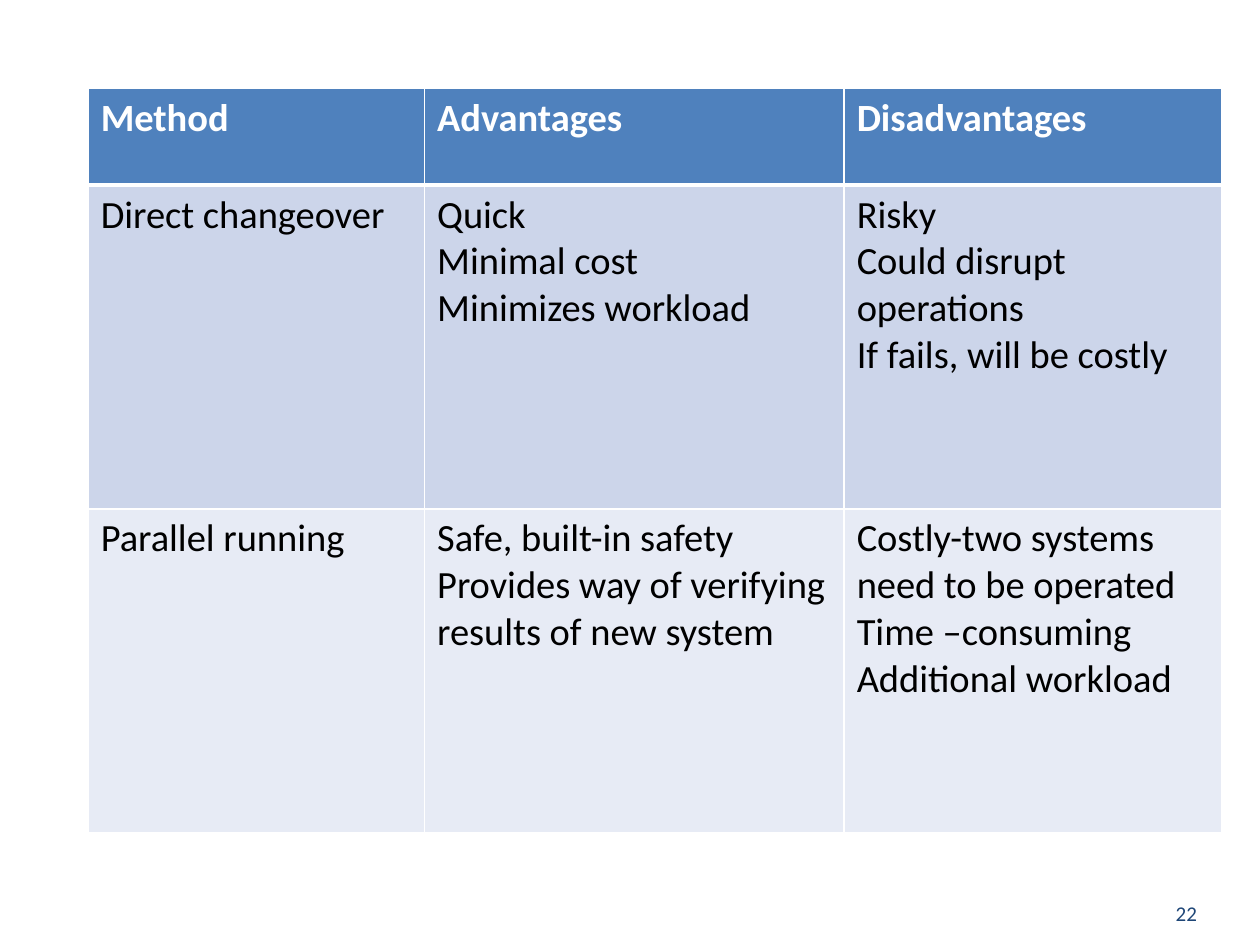
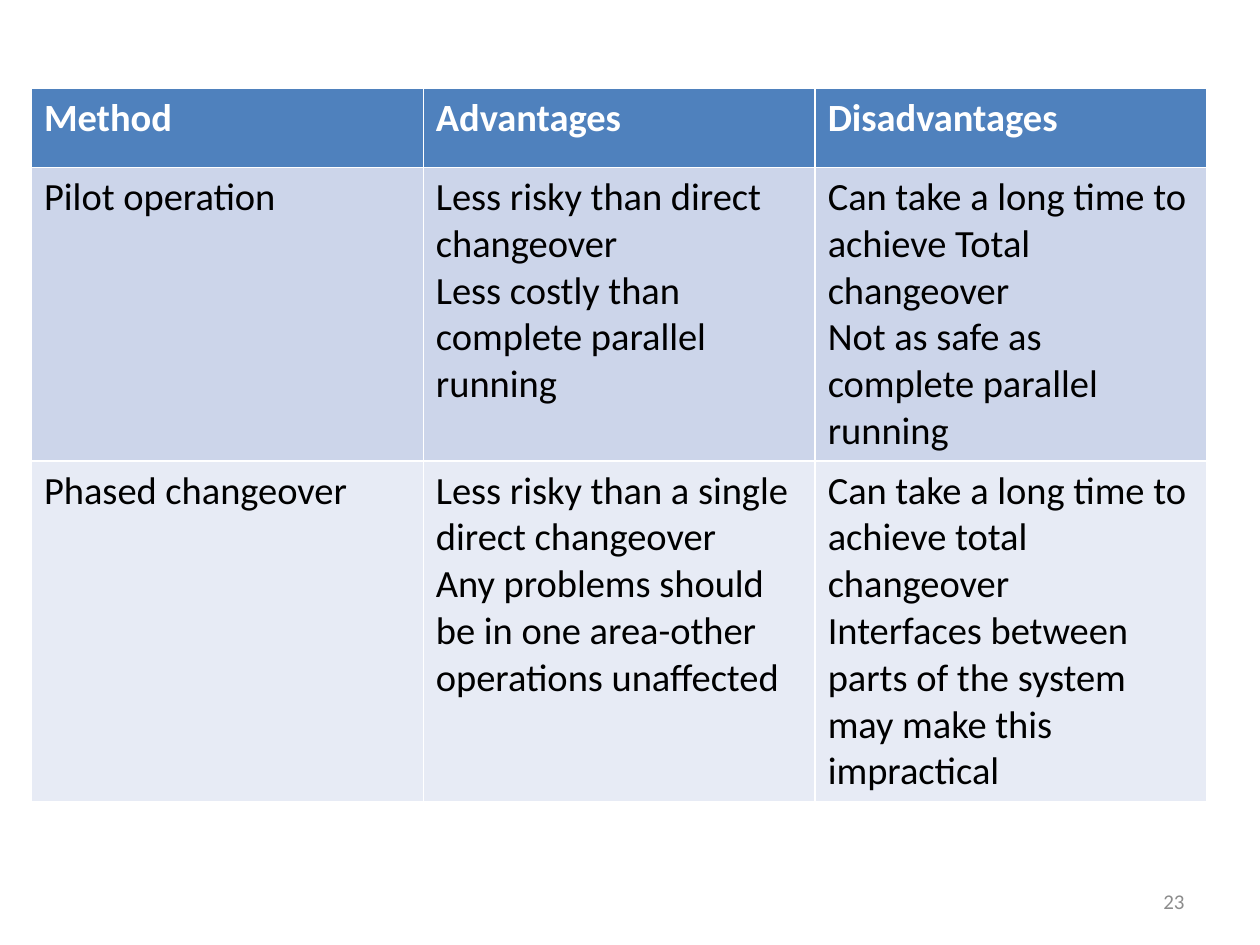
from dataclasses import dataclass

import pptx
import pptx.dml.color
import pptx.enum.text
import pptx.oxml
import pptx.oxml.ns
import pptx.util
from pptx.util import Inches

Anchor = pptx.enum.text.MSO_ANCHOR


@dataclass(frozen=True)
class Theme:
    font: str = "Calibri"
    table_size: int = 22
    number_size: int = 12
    header_fill: str = "4F81BD"
    band_fills: tuple[str, str] = ("CCD5EA", "E7EBF5")
    header_text: str = "FFFFFF"
    body_text: str = "000000"
    border: str = "FFFFFF"
    border_width: float = 1


THEME = Theme()
HEADINGS = ("Method", "Advantages", "Disadvantages")


@dataclass(frozen=True)
class Method:
    name: str
    advantages: tuple[str, ...]
    disadvantages: tuple[str, ...]


@dataclass(frozen=True)
class PageNumber:
    text: str
    left: float
    width: float
    color: str
    anchor: Anchor
    inset: tuple[float, float]


@dataclass(frozen=True)
class ComparisonPage:
    methods: tuple[Method, ...]
    left: float
    column_widths: tuple[float, ...]
    row_heights: tuple[float, ...]
    header_rule: float
    number: PageNumber


PAGES = (
    ComparisonPage(
        methods=(
            Method(
                "Direct changeover",
                ("Quick", "Minimal cost", "Minimizes workload"),
                ("Risky", "Could disrupt operations", "If fails, will be costly"),
            ),
            Method(
                "Parallel running",
                ("Safe, built-in safety", "Provides way of verifying results of new system"),
                ("Costly-two systems need to be operated", "Time –consuming", "Additional workload"),
            ),
        ),
        left=0.7,
        column_widths=(2.67, 3.33, 3),
        row_heights=(0.77, 2.57, 2.57),
        header_rule=3,
        number=PageNumber("22", 8.67, 0.83, "1E4677", Anchor.BOTTOM, (0, 0)),
    ),
    ComparisonPage(
        methods=(
            Method(
                "Pilot operation",
                ("Less risky than direct changeover", "Less costly than complete parallel running"),
                ("Can take a long time to achieve Total changeover", "Not as safe as complete parallel running"),
            ),
            Method(
                "Phased changeover",
                ("Less risky than a single direct changeover",
                 "Any problems should be in one area-other operations unaffected"),
                ("Can take a long time to achieve total changeover",
                 "Interfaces between parts of the system may make this impractical"),
            ),
        ),
        left=0.25,
        column_widths=(3.11, 3.11, 3.11),
        row_heights=(0.63, 2.33, 2.7),
        header_rule=1,
        number=PageNumber("23", 7.17, 2.33, "8C8C8C", Anchor.MIDDLE, (0.1, 0.05)),
    ),
)


def write_lines(
    frame: pptx.text.text.TextFrame,
    lines: tuple[str, ...],
    size: int,
    color: str,
    bold: bool = False,
    alignment: pptx.enum.text.PP_ALIGN = pptx.enum.text.PP_ALIGN.LEFT,
) -> None:
    """Put each line in its own paragraph."""
    for index, line in enumerate(lines):
        paragraph = frame.add_paragraph() if index else frame.paragraphs[0]
        paragraph.alignment = alignment
        run = paragraph.add_run()
        run.text = line
        run.font.name = THEME.font
        run.font.size = pptx.util.Pt(size)
        run.font.bold = bold
        run.font.color.rgb = pptx.dml.color.RGBColor.from_string(color)


def set_borders(cell: pptx.table._Cell, top: float, bottom: float) -> None:
    widths = {"L": THEME.border_width, "R": THEME.border_width, "T": top, "B": bottom}
    properties = cell._tc.get_or_add_tcPr()
    for side, width in widths.items():
        properties.append(pptx.oxml.parse_xml(
            f'<a:ln{side} {pptx.oxml.ns.nsdecls("a")} w="{pptx.util.Pt(width)}">'
            f'<a:solidFill><a:srgbClr val="{THEME.border}"/></a:solidFill></a:ln{side}>'
        ))


def add_comparison_table(slide: pptx.slide.Slide, page: ComparisonPage) -> None:
    rows = [tuple((heading,) for heading in HEADINGS)]
    rows += [((method.name,), method.advantages, method.disadvantages) for method in page.methods]
    table = slide.shapes.add_table(
        len(rows), len(HEADINGS), Inches(page.left), Inches(0.7),
        Inches(sum(page.column_widths)), Inches(sum(page.row_heights)),
    ).table
    for column, width in zip(table.columns, page.column_widths):
        column.width = Inches(width)
    for row, height in zip(table.rows, page.row_heights):
        row.height = Inches(height)

    for row_index, row in enumerate(rows):
        is_header = row_index == 0
        fill = THEME.header_fill if is_header else THEME.band_fills[(row_index - 1) % 2]
        top = page.header_rule if row_index == 1 else THEME.border_width
        bottom = page.header_rule if is_header else THEME.border_width
        for column_index, lines in enumerate(row):
            cell = table.cell(row_index, column_index)
            set_borders(cell, top, bottom)
            cell.fill.solid()
            cell.fill.fore_color.rgb = pptx.dml.color.RGBColor.from_string(fill)
            color = THEME.header_text if is_header else THEME.body_text
            write_lines(cell.text_frame, lines, THEME.table_size, color, is_header)


def add_page_number(slide: pptx.slide.Slide, number: PageNumber) -> None:
    box = slide.shapes.add_textbox(
        Inches(number.left), Inches(6.95), Inches(number.width), Inches(0.4)
    )
    frame = box.text_frame
    frame.word_wrap = True
    frame.vertical_anchor = number.anchor
    horizontal, vertical = number.inset
    frame.margin_left = frame.margin_right = Inches(horizontal)
    frame.margin_top = frame.margin_bottom = Inches(vertical)
    write_lines(frame, (number.text,), THEME.number_size, number.color,
                alignment=pptx.enum.text.PP_ALIGN.RIGHT)


def main() -> None:
    presentation = pptx.Presentation()
    presentation.slide_width = Inches(10)
    presentation.slide_height = Inches(7.5)
    blank_layout = presentation.slide_layouts[6]
    for page in PAGES:
        slide = presentation.slides.add_slide(blank_layout)
        add_comparison_table(slide, page)
        add_page_number(slide, page.number)
    presentation.save("out.pptx")


if __name__ == "__main__":
    main()
